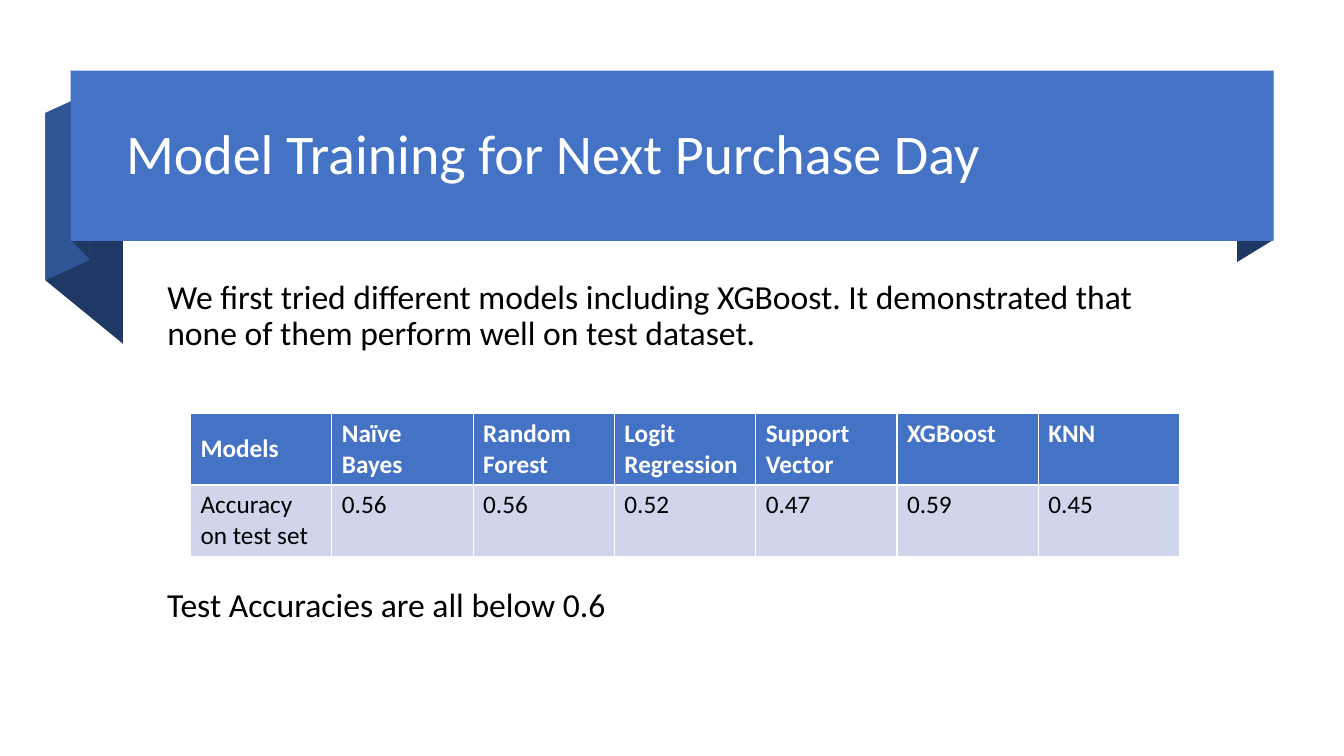
from lxml import etree
from pptx import Presentation
from pptx.dml.color import RGBColor
from pptx.enum.shapes import MSO_SHAPE
from pptx.enum.text import MSO_ANCHOR, MSO_AUTO_SIZE, PP_ALIGN
from pptx.oxml.ns import qn
from pptx.util import Inches, Pt

RECTANGLE = MSO_SHAPE.RECTANGLE
TOP = MSO_ANCHOR.TOP
MIDDLE = MSO_ANCHOR.MIDDLE
NO_AUTOFIT = MSO_AUTO_SIZE.NONE
LEFT = PP_ALIGN.LEFT

COLORS = {
    "banner": "4472C4",
    "fold": "2F5597",
    "shade": "203864",
    "row": "CFD5EA",
    "white": "FFFFFF",
    "black": "000000",
}
RIBBON_FOLDS = [
    ("shade", [(12.63, 2.38), (12.27, 2.6), (12.27, 0.91), (12.63, 0.7)]),
    ("shade", [(1.22, 3.41), (0.45, 2.78), (0.45, 1.12), (1.22, 1.75)]),
    ("fold", [(0.89, 2.58), (0.45, 2.78), (0.45, 1.12), (0.89, 0.92)]),
    ("shade", [(0.89, 2.57), (0.71, 2.39), (0.71, 0.7), (0.89, 0.89)]),
]
MODEL_ACCURACIES = [
    ("Models", "Accuracy\non test set"),
    ("Naïve\nBayes", "0.56"),
    ("Random\nForest", "0.56"),
    ("Logit Regression", "0.52"),
    ("Support Vector", "0.47"),
    ("XGBoost", "0.59"),
    ("KNN", "0.45"),
]


class SlideBuilder:
    font_name = "Calibri"

    def __init__(self, slide):
        self.slide = slide

    def color(self, name):
        return RGBColor.from_string(COLORS[name])

    def fill(self, shape, color):
        shape.fill.solid()
        shape.fill.fore_color.rgb = self.color(color)
        shape.line.fill.background()
        shape.shadow.inherit = False

    def fold(self, color, points):
        corners = [(Inches(x), Inches(y)) for x, y in points]
        builder = self.slide.shapes.build_freeform(*corners[0], scale=1.0)
        builder.add_line_segments(corners[1:], close=True)
        self.fill(builder.convert_to_shape(), color)

    def banner(self, *box):
        shape = self.slide.shapes.add_shape(RECTANGLE, *map(Inches, box))
        self.fill(shape, "banner")

    def set_text(self, frame, text, size, color, bold=False, spacing=None):
        frame.text = text
        for paragraph in frame.paragraphs:
            properties = paragraph._p.get_or_add_pPr()
            properties.set("marL", "0")
            properties.set("indent", "0")
            etree.SubElement(properties, qn("a:buNone"))
            layout = {"alignment": LEFT, "space_before": Pt(0), "line_spacing": spacing}
            for name, value in layout.items():
                setattr(paragraph, name, value)
            style = {"name": self.font_name, "size": Pt(size), "bold": bold}
            for name, value in style.items():
                setattr(paragraph.font, name, value)
            paragraph.font.color.rgb = self.color(color)

    def text(self, shape, text, size, color, anchor=TOP):
        frame = shape.text_frame
        settings = {"word_wrap": True, "auto_size": NO_AUTOFIT, "vertical_anchor": anchor}
        for name, value in settings.items():
            setattr(frame, name, value)
        self.set_text(frame, text, size, color, spacing=0.9)

    def placeholder(self, shape, box, text, size, color, anchor=TOP):
        for name, value in zip(("left", "top", "width", "height"), box):
            setattr(shape, name, Inches(value))
        self.slide.shapes.element.append(shape.element)
        self.text(shape, text, size, color, anchor)

    def text_box(self, box, text, size, color):
        shape = self.slide.shapes.add_textbox(*map(Inches, box))
        self.text(shape, text, size, color)

    def table(self, box, columns):
        row_count = len(columns[0])
        frame = self.slide.shapes.add_table(row_count, len(columns), *map(Inches, box))
        for column_index, column in enumerate(columns):
            for row_index, text in enumerate(column):
                cell = frame.table.cell(row_index, column_index)
                header = row_index == 0
                cell.fill.solid()
                cell.fill.fore_color.rgb = self.color("banner" if header else "row")
                self.set_text(cell.text_frame, text, 18, "white" if header else "black", header)
        frame.table.cell(0, 0).vertical_anchor = MIDDLE


def main():
    presentation = Presentation()
    presentation.slide_width = Inches(13.33)
    presentation.slide_height = Inches(7.5)
    slide = presentation.slides.add_slide(presentation.slide_layouts[1])
    builder = SlideBuilder(slide)
    for color, points in RIBBON_FOLDS:
        builder.fold(color, points)
    builder.banner(0.7, 0.7, 11.93, 1.69)
    builder.placeholder(
        slide.shapes.title, (1.15, 0.83, 11.27, 1.45),
        "Model Training for Next Purchase Day", 40, "white", MIDDLE,
    )
    builder.placeholder(
        slide.placeholders[1], (1.56, 2.73, 10.14, 0.87),
        "We first tried different models including XGBoost. "
        "It demonstrated that none of them perform well on test dataset.",
        24, "black",
    )
    builder.table((1.89, 4.1, 9.81, 1.4), MODEL_ACCURACIES)
    builder.text_box(
        (1.56, 5.79, 10.14, 0.87), "Test Accuracies are all below 0.6", 24, "black"
    )
    presentation.save("out.pptx")


if __name__ == "__main__":
    main()
